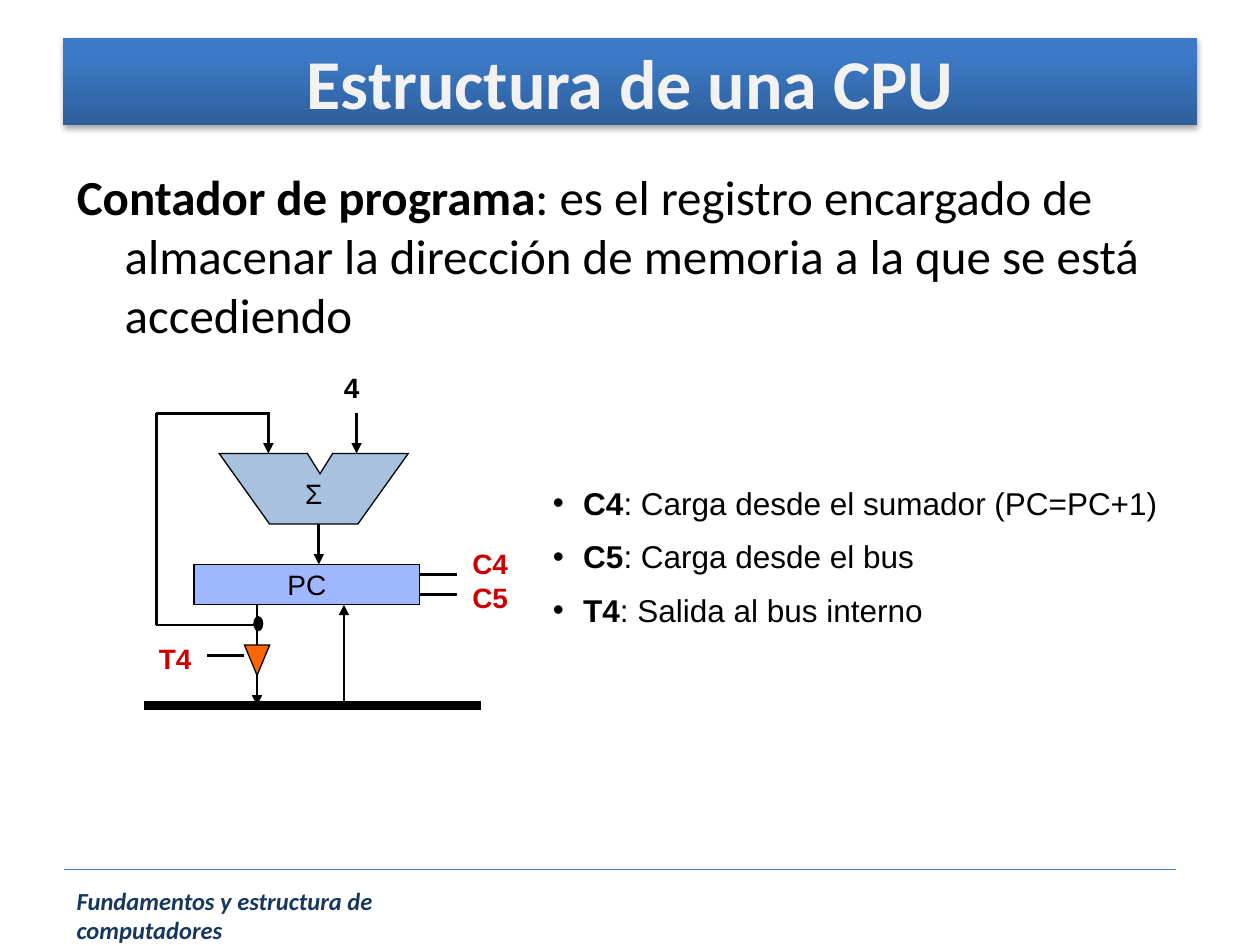
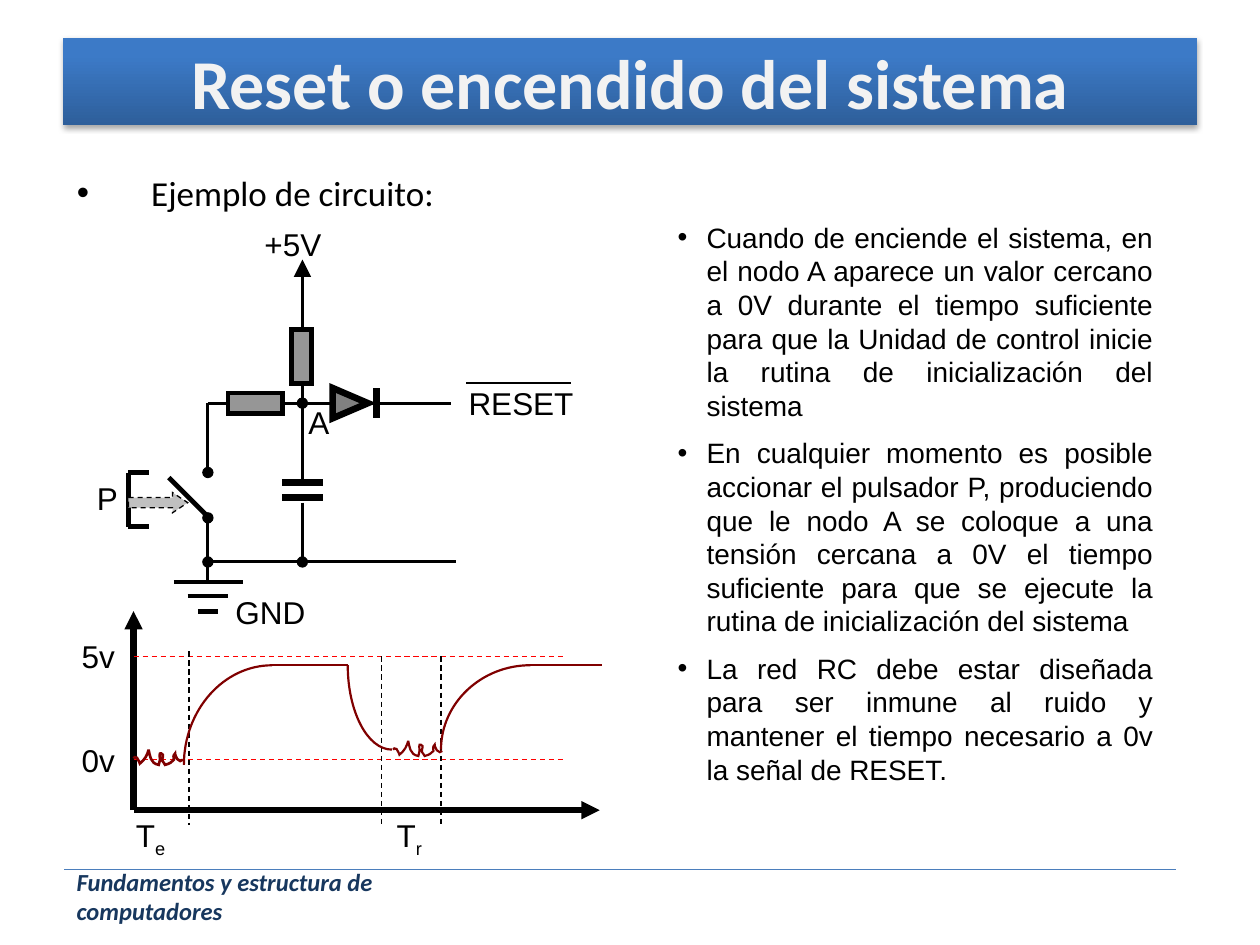
import pptx
import pptx.dml.color
import pptx.enum.dml
import pptx.enum.shapes
import pptx.enum.text
import pptx.oxml.ns
import pptx.util
from lxml import etree
from pptx.util import Inches

BLACK, RED, WAVE = "000000", "CC0000", "800000"
NAVY, RULE, TITLE_TEXT = "17375E", "4B7EBC", "F2F2F2"
BAND_TOP, BAND_BOTTOM = "3C7AC7", "2E5F9B"
FOOTER = "Fundamentos y estructura de computadores"
SHAPE = pptx.enum.shapes.MSO_SHAPE
ALIGN = pptx.enum.text.PP_ALIGN
MIDDLE = pptx.enum.text.MSO_ANCHOR.MIDDLE
AUTO = pptx.enum.text.MSO_AUTO_SIZE

# Noise trace in hundredths of an inch: start, then Bezier triples
NOISE_START = (0, 7)
NOISE = [
    (1, 7, 0, 6, 1, 6), (3, 6, 3, 7, 3, 7), (4, 8, 5, 11, 5, 11),
    (9, 8, 11, 4, 12, 0), (13, 4, 13, 11, 20, 12), (20, 11, 21, 9, 21, 8),
    (21, 6, 20, 2, 22, 3), (25, 4, 22, 7, 23, 9), (24, 10, 25, 12, 25, 12),
    (29, 11, 30, 10, 32, 8), (32, 6, 31, 5, 33, 3), (33, 3, 33, 5, 34, 6),
    (34, 6, 35, 9, 37, 9), (38, 9, 38, 8, 39, 8),
]


def rgb(color):
    """Turn a hex string into a colour."""
    return pptx.dml.color.RGBColor.from_string(color)


def child(parent, tag, **attributes):
    """Append a DrawingML element and return it."""
    element = etree.SubElement(parent, pptx.oxml.ns.qn("a:" + tag))
    for name, value in attributes.items():
        element.set(name, str(value))
    return element


def style_run(run, size, color, font, bold=False, italic=False):
    """Format one run."""
    run.font.size = pptx.util.Pt(size)
    run.font.name = font
    run.font.bold = bold
    run.font.italic = italic
    run.font.color.rgb = rgb(color)


def write(paragraph, lead, rest="", size=18, color=BLACK, font="Arial",
          bold=False, italic=False, align=None):
    """Write a lead text, and optionally a plain continuation."""
    paragraph.text = lead
    for run in paragraph.runs:
        style_run(run, size, color, font, bold, italic)
    if rest:
        continuation = paragraph.add_run()
        continuation.text = rest
        style_run(continuation, size, color, font)
    paragraph.alignment = align


def set_indent(paragraph, indent, bullet):
    """Give a paragraph a hanging indent, with or without a bullet."""
    properties = paragraph._p.get_or_add_pPr()
    properties.set("marL", str(Inches(indent)))
    properties.set("indent", str(-Inches(indent)))
    if bullet:
        child(properties, "buFont", typeface="Arial")
        child(properties, "buChar", char="•")
    else:
        child(properties, "buNone")


def add_label(shapes, at, text, rest="", wrap=True, side=0.1, edge=0.05, **style):
    """Add a text box that grows with its text."""
    label = shapes.add_textbox(*map(Inches, at))
    frame = label.text_frame
    frame.word_wrap = wrap
    frame.auto_size = AUTO.SHAPE_TO_FIT_TEXT
    frame.margin_left = frame.margin_right = Inches(side)
    frame.margin_top = frame.margin_bottom = Inches(edge)
    write(frame.paragraphs[0], text, rest, **style)
    return label


def add_bullets(shapes, at, items, size, indent, align=None):
    """Add a bulleted list of (bold lead, plain rest) items."""
    frame = add_label(shapes, at, "").text_frame
    for index, (lead, rest) in enumerate(items):
        paragraph = frame.add_paragraph() if index else frame.paragraphs[0]
        write(paragraph, lead, rest, size=size, bold=bool(rest), align=align)
        paragraph.space_before = pptx.util.Pt(size / 2)
        set_indent(paragraph, indent, True)


def add_line(shapes, start, end, width, color=BLACK, arrow=None, dashed=False):
    """Add a straight line, optionally dashed or with an arrowhead of a size."""
    wire = shapes.add_connector(pptx.enum.shapes.MSO_CONNECTOR.STRAIGHT,
                                *map(Inches, (*start, *end)))
    wire.line.color.rgb = rgb(color)
    wire.line.width = pptx.util.Pt(width)
    if dashed:
        wire.line.dash_style = pptx.enum.dml.MSO_LINE.DASH
    if arrow:
        child(wire.line._ln, "tailEnd", type="triangle", w=arrow, len=arrow)
    child(wire._element.spPr, "effectLst")


def paint(shape, fill, width, color=BLACK, opacity=None):
    """Set fill and outline; None leaves the fill empty."""
    shape.shadow.inherit = False
    if fill:
        shape.fill.solid()
        shape.fill.fore_color.rgb = rgb(fill)
        if opacity:
            tint = shape._element.spPr.find(".//" + pptx.oxml.ns.qn("a:srgbClr"))
            child(tint, "alpha", val=opacity * 1000)
    else:
        shape.fill.background()
    if width:
        shape.line.color.rgb = rgb(color)
        shape.line.width = pptx.util.Pt(width)
        child(shape.line._ln, "miter", lim=800000)
    else:
        shape.line.fill.background()


def add_part(shapes, kind, at, fill, width, turn=0, opacity=None):
    """Add a preset shape."""
    part = shapes.add_shape(kind, *map(Inches, at))
    paint(part, fill, width, opacity=opacity)
    part.rotation = turn
    return part


def add_node(shapes, x, y):
    """Add a junction dot centred on a point."""
    add_part(shapes, SHAPE.OVAL, (x - 0.04, y - 0.04, 0.08, 0.08), BLACK, 0.75)


def add_outline(shapes, points, close=False):
    """Build a freeform through points."""
    emu = [(Inches(x), Inches(y)) for x, y in points]
    builder = shapes.build_freeform(*emu[0], scale=1.0)
    builder.add_line_segments(emu[1:], close=close)
    return builder.convert_to_shape()


def add_curve(shapes, start, curves, width):
    """Draw joined cubic Bezier curves, each given as two handles and an end."""
    anchors = [start] + [curve[4:] for curve in curves]
    trace = add_outline(shapes, anchors)
    left, top = (min(values) for values in zip(*anchors))
    segments = list(trace._element.spPr.iter(pptx.oxml.ns.qn("a:lnTo")))
    for segment, curve in zip(segments, curves):
        bend = child(segment.getparent(), "cubicBezTo")
        for x, y in zip(curve[::2], curve[1::2]):
            child(bend, "pt", x=Inches(x - left), y=Inches(y - top))
        segment.getparent().replace(segment, bend)
    paint(trace, None, width, WAVE)


def add_quarter(shapes, start, end):
    """Draw a quarter ellipse that leaves vertically and arrives horizontally."""
    (x0, y0), (x1, y1) = start, end
    curve = (x0, y0 + 0.55 * (y1 - y0), x0 + 0.45 * (x1 - x0), y1, x1, y1)
    add_curve(shapes, start, [curve], 1.25)


def add_noise(shapes, left, top, width):
    """Draw the noise trace at a position."""
    def shift(values):
        return tuple((top if index % 2 else left) + value / 100
                     for index, value in enumerate(values))
    add_curve(shapes, shift(NOISE_START), [shift(curve) for curve in NOISE], width)


def place(placeholder, at):
    """Move a placeholder and return its text frame."""
    (placeholder.left, placeholder.top,
     placeholder.width, placeholder.height) = map(Inches, at)
    placeholder.text_frame.auto_size = AUTO.NONE
    return placeholder.text_frame


def add_slide(deck, heading, footer_at):
    """Add a slide with title band, rule and footer."""
    slide = deck.slides.add_slide(deck.slide_layouts[1])
    band = slide.shapes.title
    frame = place(band, (0.5, 0.3, 9, 0.69))
    frame.vertical_anchor = MIDDLE
    write(frame.paragraphs[0], heading, size=40, color=TITLE_TEXT, font="Calibri",
          bold=True, align=ALIGN.CENTER)
    band.fill.gradient()
    band.fill.gradient_angle = 270
    for stop, color, position in zip(band.fill.gradient_stops,
                                     (BAND_TOP, BAND_BOTTOM), (0.2, 1)):
        stop.color.rgb = rgb(color)
        stop.position = position
    band.line.fill.background()
    effects = child(band._element.spPr, "effectLst")
    shadow = child(effects, "outerShdw", blurRad=40000, dist=23000, dir=5400000, rotWithShape=0)
    child(child(shadow, "srgbClr", val=BLACK), "alpha", val=35000)
    add_line(slide.shapes, (0.51, 6.9), (9.33, 6.9), 0.75, RULE)
    add_label(slide.shapes, footer_at, FOOTER, size=14, color=NAVY,
              font="Calibri", bold=True, italic=True)
    return slide


def draw_counter(shapes):
    """Draw the program counter with its adder and control signals."""
    register = add_part(shapes, SHAPE.RECTANGLE, (1.54, 4.48, 1.79, 0.32), "3366FF", 0.75, opacity=47)
    register.text_frame.vertical_anchor = MIDDLE
    register.text_frame.word_wrap = False
    write(register.text_frame.paragraphs[0], "PC", size=16, align=ALIGN.CENTER)
    for start, end in [((3.33, 4.56), (3.63, 4.56)), ((3.33, 4.72), (3.63, 4.72)),
                       ((1.94, 5.2), (1.64, 5.2)), ((2.04, 4.96), (1.24, 4.96)),
                       ((1.24, 3.28), (1.24, 4.96)), ((2.14, 3.28), (1.24, 3.28))]:
        add_line(shapes, start, end, 1.5)
    for x, top, bottom in [(2.04, 4.8, 5.6), (2.73, 5.6, 4.8), (2.13, 3.28, 3.6),
                           (2.83, 3.28, 3.6), (2.53, 4.16, 4.48)]:
        add_line(shapes, (x, top), (x, bottom), 1.5, arrow="med")
    add_part(shapes, SHAPE.ISOSCELES_TRIANGLE, (1.94, 5.12, 0.2, 0.24), "FF6600", 0.75, turn=180)
    add_part(shapes, SHAPE.OVAL, (2.01, 4.89, 0.08, 0.12), BLACK, 0)
    adder = add_outline(shapes, [(1.74, 3.6), (2.44, 3.6), (2.54, 3.76), (2.64, 3.6),
                                 (3.24, 3.6), (2.84, 4.16), (2.14, 4.16)], close=True)
    paint(adder, "4F81BD", 0.75, opacity=49)
    for text, left, top, height, color in [("C4\vC5", 3.64, 4.29, 0.63, RED),
                                           ("T4", 1.14, 5.04, 0.37, RED),
                                           ("4", 2.54, 2.89, 0.37, BLACK)]:
        add_label(shapes, (left, top, 0.5, height), text, side=0, size=16,
                  color=color, bold=True, align=ALIGN.CENTER)
    add_label(shapes, (2.24, 3.78, 0.5, 0.27), "Σ", side=0, edge=0, size=16, align=ALIGN.CENTER)


def draw_circuit(shapes):
    """Draw the RC reset circuit with its push button."""
    wires = {
        2.75: [((1.38, 4.62), (1.93, 4.62)), ((1.49, 4.73), (1.81, 4.73)),
               ((1.57, 4.85), (1.73, 4.85)), ((1.65, 4.1), (1.34, 3.79)),
               ((1.02, 4.18), (1.02, 3.75)), ((1.02, 4.18), (1.18, 4.18)),
               ((1.02, 3.75), (1.18, 3.75))],
        1.75: [((1.65, 4.62), (1.65, 4.14)), ((1.65, 3.79), (1.65, 3.2)),
               ((1.65, 3.2), (3.58, 3.2)), ((2.4, 3.99), (2.4, 4.46)),
               ((1.65, 4.46), (3.62, 4.46))],
        3.75: [((2.24, 3.83), (2.56, 3.83)), ((2.24, 3.95), (2.56, 3.95)),
               ((2.99, 3.08), (2.99, 3.32))],
        1.5: [((3.7, 3.04), (4.53, 3.04))],
    }
    for width, ends in wires.items():
        for start, end in ends:
            add_line(shapes, start, end, width)
    add_line(shapes, (2.4, 3.83), (2.4, 2.06), 1.75, arrow="lg")
    add_part(shapes, SHAPE.RECTANGLE, (1.81, 3.12, 0.43, 0.16), "969696", 2.75)
    add_part(shapes, SHAPE.RECTANGLE, (2.18, 2.75, 0.43, 0.16), "969696", 2.75, turn=90)
    add_part(shapes, SHAPE.ISOSCELES_TRIANGLE, (2.66, 3.06, 0.24, 0.28), "808080", 3.75, turn=90)
    for x, y in [(1.65, 3.75), (1.65, 4.11), (1.65, 4.46), (2.4, 3.2), (2.4, 4.46)]:
        add_node(shapes, x, y)
    push = add_part(shapes, SHAPE.RIGHT_ARROW, (1.02, 3.91, 0.47, 0.16), "C0C0C0", 0.75)
    push.adjustments[1] = 0.75
    push.line.dash_style = pptx.enum.dml.MSO_LINE.DASH
    for text, left, top, width in [("RESET", 3.62, 3, 1.18), ("+5V", 2, 1.74, 0.79),
                                   ("GND", 1.77, 4.66, 0.79)]:
        add_label(shapes, (left, top, width, 0.4), text)
    for text, left, top in [("P", 0.67, 3.75), ("A", 2.35, 3.15)]:
        add_label(shapes, (left, top, 0.37, 0.4), text, wrap=False)


def draw_waveform(shapes):
    """Draw the voltage at node A over time."""
    for end in [(1.06, 4.85), (4.76, 6.43)]:
        add_line(shapes, (1.06, 6.43), end, 3.5, arrow="med")
    for text, y in [("5v", 5.21), ("0v", 6.03)]:
        add_line(shapes, (1.06, y), (4.49, y), 0.75, "FF0000", dashed=True)
        add_label(shapes, (0.55, y - 0.2, 0.47, 0.4), text, wrap=False)
    for x, top in [(1.5, 5.17), (3.03, 5.21), (3.5, 5.21)]:
        add_line(shapes, (x, top), (x, 6.55), 0.75, dashed=True)
    for left, right in [(2.16, 2.76), (4.19, 4.78)]:
        add_line(shapes, (left, 5.28), (right, 5.28), 1.25, WAVE)
    for start, end in [((1.46, 6.07), (2.16, 5.28)), ((2.76, 5.28), (3.11, 5.95)),
                       ((3.5, 5.95), (4.21, 5.28))]:
        add_quarter(shapes, start, end)
    add_noise(shapes, 1.06, 5.95, 1.5)
    add_noise(shapes, 3.12, 5.88, 1.25)


def build_counter_slide(deck):
    """Build the slide on the program counter."""
    slide = add_slide(deck, "Estructura de una CPU", (0.51, 6.98, 3.74, 0.34))
    definition = place(slide.placeholders[1], (0.51, 1.27, 8.91, 1.57)).paragraphs[0]
    write(definition, "Contador de programa", ": es el registro encargado de almacenar la "
          "dirección de memoria a la que se está accediendo", size=28, font="Calibri", bold=True)
    set_indent(definition, 0.38, False)
    draw_counter(slide.shapes.add_group_shape().shapes)
    add_line(slide.shapes, (1.14, 5.6), (3.82, 5.6), 5)
    add_bullets(slide.shapes, (4.29, 3.79, 5.08, 1.3), [
        ("C4", ": Carga desde el sumador (PC=PC+1)"),
        ("C5", ": Carga desde el bus"), ("T4", ": Salida al bus interno")], 18, 0.24)


def build_reset_slide(deck):
    """Build the slide on the reset circuit."""
    slide = add_slide(deck, "Reset o encendido del sistema", (0.51, 6.83, 3.74, 0.57))
    example = place(slide.placeholders[1], (0.51, 1.31, 8.7, 0.63)).paragraphs[0]
    write(example, "Ejemplo de circuito:", size=20, font="Calibri", align=ALIGN.JUSTIFY)
    set_indent(example, 0.59, True)
    add_bullets(slide.shapes, (5.28, 1.7, 3.97, 4.38), [
        ("Cuando de enciende el sistema, en el nodo A aparece un valor cercano a 0V durante el tiempo "
         "suficiente para que la Unidad de control inicie la rutina de inicialización del sistema", ""),
        ("En cualquier momento es posible accionar el pulsador P, produciendo que le nodo A se coloque "
         "a una tensión cercana a 0V el tiempo suficiente para que se ejecute la rutina de "
         "inicialización del sistema", ""),
        ("La red RC debe estar diseñada para ser inmune al ruido y mantener el tiempo necesario a 0v "
         "la señal de RESET.", "")], 16, 0.23, ALIGN.JUSTIFY)
    draw_circuit(slide.shapes.add_group_shape().shapes)
    for subscript, left in [("e", 0.98), ("r", 3.05)]:
        period = add_label(slide.shapes, (left, 6.43, 0.43, 0.4), "T", subscript, wrap=False)
        mark = period.text_frame.paragraphs[0].runs[1]
        mark._r.get_or_add_rPr().set("baseline", "-25000")
    draw_waveform(slide.shapes.add_group_shape().shapes)


def main():
    """Build and save the deck."""
    deck = pptx.Presentation()
    deck.slide_width, deck.slide_height = Inches(10), Inches(7.5)
    build_counter_slide(deck)
    build_reset_slide(deck)
    deck.save("out.pptx")


main()
